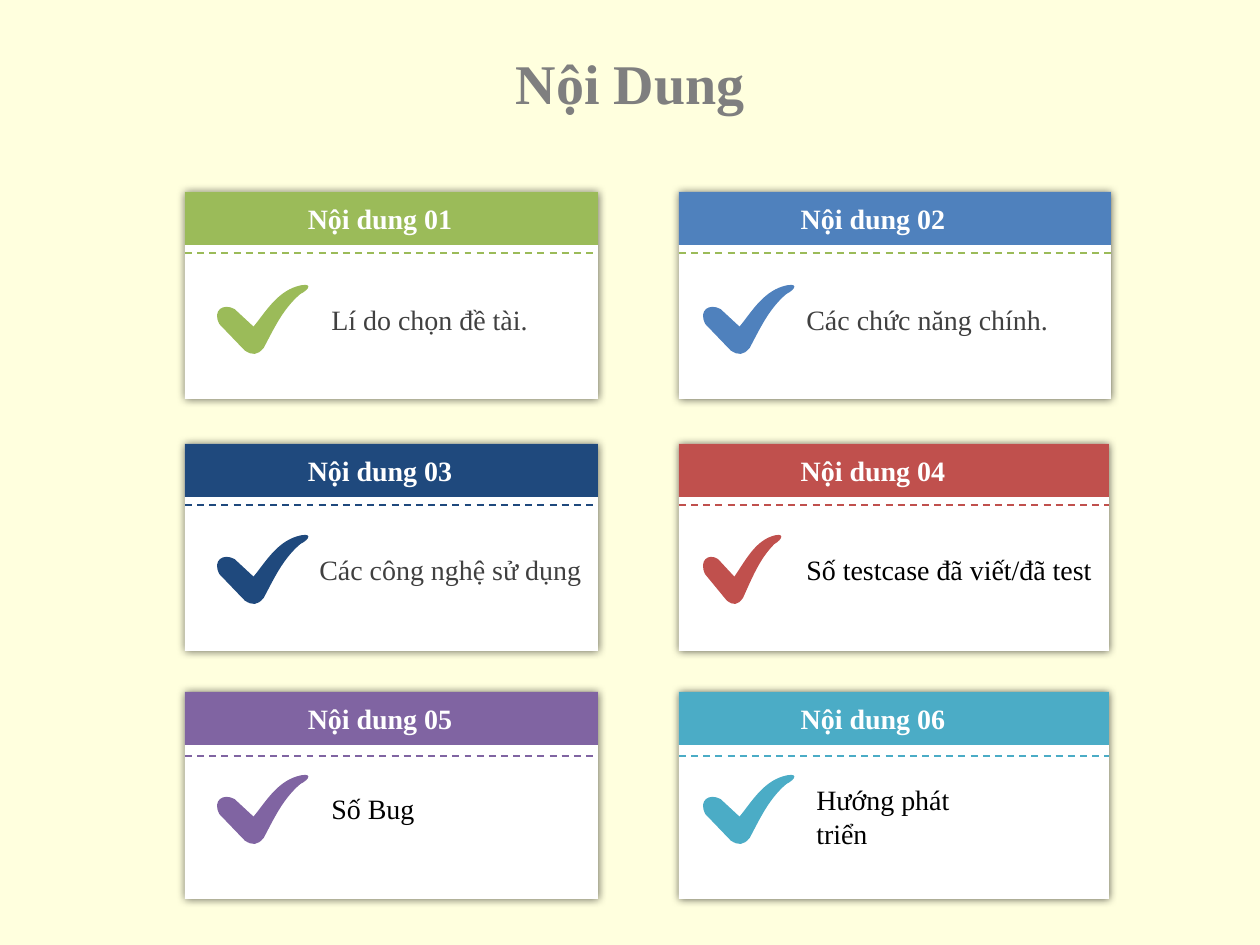
"""Build the six-card contents slide."""
from lxml import etree
from pptx import Presentation
from pptx.dml.color import RGBColor
from pptx.enum.dml import MSO_LINE
from pptx.enum.shapes import MSO_CONNECTOR, MSO_SHAPE
from pptx.enum.text import MSO_ANCHOR, MSO_AUTO_SIZE, PP_ALIGN
from pptx.oxml.ns import qn
from pptx.util import Pt

RECT, LINE, DASH = MSO_SHAPE.RECTANGLE, MSO_CONNECTOR.STRAIGHT, MSO_LINE.DASH
MID, GROW, NONE = MSO_ANCHOR.MIDDLE, MSO_AUTO_SIZE.SHAPE_TO_FIT_TEXT, MSO_AUTO_SIZE.NONE
LEFT, MIDDLE = PP_ALIGN.LEFT, PP_ALIGN.CENTER

PX = 914400 // 126
PAPER, WHITE, GREY, DARK, BLACK = "FFFFDE", "FFFFFF", "7F7F7F", "404040", "000000"
TITLE = "Nội Dung"
CARDS = [
    dict(head="Nội dung 01", text="Lí do chọn đề tài.", fill="9BBB59", dash="9BBB59",
         ink=DARK, wide=413, mark=91, box=(319, 296, 231, 47)),
    dict(head="Nội dung 02", text="Các chức năng chính.", fill="4F81BD", dash="9BBB59",
         ink=DARK, wide=432, mark=91, box=(794, 296, 299, 47)),
    dict(head="Nội dung 03", text="Các công nghệ sử dụng", fill="1F497D", dash="1F497D",
         ink=DARK, wide=413, mark=91, box=(307, 546, 291, 47)),
    dict(head="Nội dung 04", text="Số testcase đã viết/đã test", fill="C0504D", dash="C0504D",
         ink=BLACK, wide=430, mark=78, box=(794, 546, 314, 47)),
    dict(head="Nội dung 05", text="Số Bug", fill="8064A2", dash="8064A2",
         ink=BLACK, wide=413, mark=91, box=(319, 785, 174, 47)),
    dict(head="Nội dung 06", text="Hướng phát triển", fill="4BACC6", dash="4BACC6",
         ink=BLACK, wide=430, mark=91, box=(804, 776, 195, 81)),
]
COLS = [dict(card=185, mark=217, head=254), dict(card=679, mark=703, head=747)]
ROWS = [dict(card=192, dash=253, mark=284), dict(card=444, dash=505, mark=534),
        dict(card=692, dash=756, mark=774)]
TALL, BAND, TICK = 207, 53, (72, 55)
STEPS = [
    ("moveTo", (29, 34)),
    ("lnTo", (14, 20)),
    ("cubicBezTo", (5, 15), (-4, 21), (2, 32)),
    ("lnTo", (22, 53)),
    ("cubicBezTo", (28, 57), (32, 57), (37, 51)),
    ("cubicBezTo", (45, 36), (52, 20), (66, 8)),
    ("cubicBezTo", (74, 4), (76, -2), (63, 2)),
    ("cubicBezTo", (47, 7), (38, 23), (29, 34)),
    ("close",),
]


def emu(*nums):
    return [n * PX for n in nums]


def tint(code):
    return RGBColor.from_string(code)


def put(obj, **vals):
    for key, val in vals.items():
        setattr(obj, key, val)


def paint(shape, code):
    shape.shadow.inherit = False
    shape.fill.solid()
    shape.fill.fore_color.rgb = tint(code)
    shape.line.fill.background()


def write(shape, text, size, code, bold, align, fit=GROW):
    frame = shape.text_frame
    put(frame, text=text, word_wrap=True, auto_size=fit, vertical_anchor=MID)
    para = frame.paragraphs[0]
    para.alignment = align
    font = para.runs[0].font
    put(font, name="Times New Roman", size=Pt(size), bold=bold)
    font.color.rgb = tint(code)


def glow(shape):
    fx = shape._element.spPr.find(qn("a:effectLst"))
    shade = etree.SubElement(fx, qn("a:outerShdw"), blurRad=str(Pt(5)), dist="0",
                             algn="ctr", rotWithShape="0")
    ink = etree.SubElement(shade, qn("a:srgbClr"), val=BLACK)
    etree.SubElement(ink, qn("a:alpha"), val="60000")


def tick(x, y, wide, code):
    pen = slide.shapes.build_freeform(*emu(x, y))
    pen.add_line_segments([emu(x + wide, y), emu(x + wide, y + 69), emu(x, y + 69)])
    shape = pen.convert_to_shape()
    paint(shape, code)
    curve = shape._element.spPr.find(".//" + qn("a:path"))
    for old in list(curve):
        curve.remove(old)
    for key, size in zip("wh", TICK):
        curve.set(key, str(size))
    for verb, *pts in STEPS:
        step = etree.SubElement(curve, qn("a:" + verb))
        for a, b in pts:
            etree.SubElement(step, qn("a:pt"), x=str(a), y=str(b))


def panel(card, x, row):
    group = slide.shapes.add_group_shape()
    y, wide = row["card"], card["wide"]
    for tall, code in [(TALL, WHITE), (BAND, card["fill"])]:
        rect = group.shapes.add_shape(RECT, *emu(x, y, wide, tall))
        paint(rect, code)
        if tall == TALL:
            glow(rect)
    rule = group.shapes.add_connector(LINE, *emu(x, row["dash"], x + wide, row["dash"]))
    put(rule.line, width=Pt(1), dash_style=DASH)
    rule.line.color.rgb = tint(card["dash"])
    etree.SubElement(rule._element.spPr, qn("a:effectLst"))


deck = Presentation()
put(deck, slide_width=1260 * PX, slide_height=945 * PX)
slide = deck.slides.add_slide(deck.slide_layouts[5])
back = slide.background.fill
back.solid()
back.fore_color.rgb = tint(PAPER)

title = slide.shapes.title
put(title, **dict(zip(("left", "top", "width", "height"), emu(74, 42, 1113, 81))))
write(title, TITLE, 32, GREY, True, MIDDLE, NONE)

for n, card in enumerate(CARDS):
    row, col = ROWS[n // 2], COLS[n % 2]
    panel(card, col["card"], row)
    tick(col["mark"], row["mark"], card["mark"], card["fill"])
    body = slide.shapes.add_textbox(*emu(*card["box"]))
    write(body, card["text"], 16, card["ink"], False, LEFT)
    head = slide.shapes.add_textbox(*emu(col["head"], row["card"] + 3, 252, 47))
    write(head, card["head"], 16, WHITE, True, MIDDLE)

deck.save("out.pptx")
